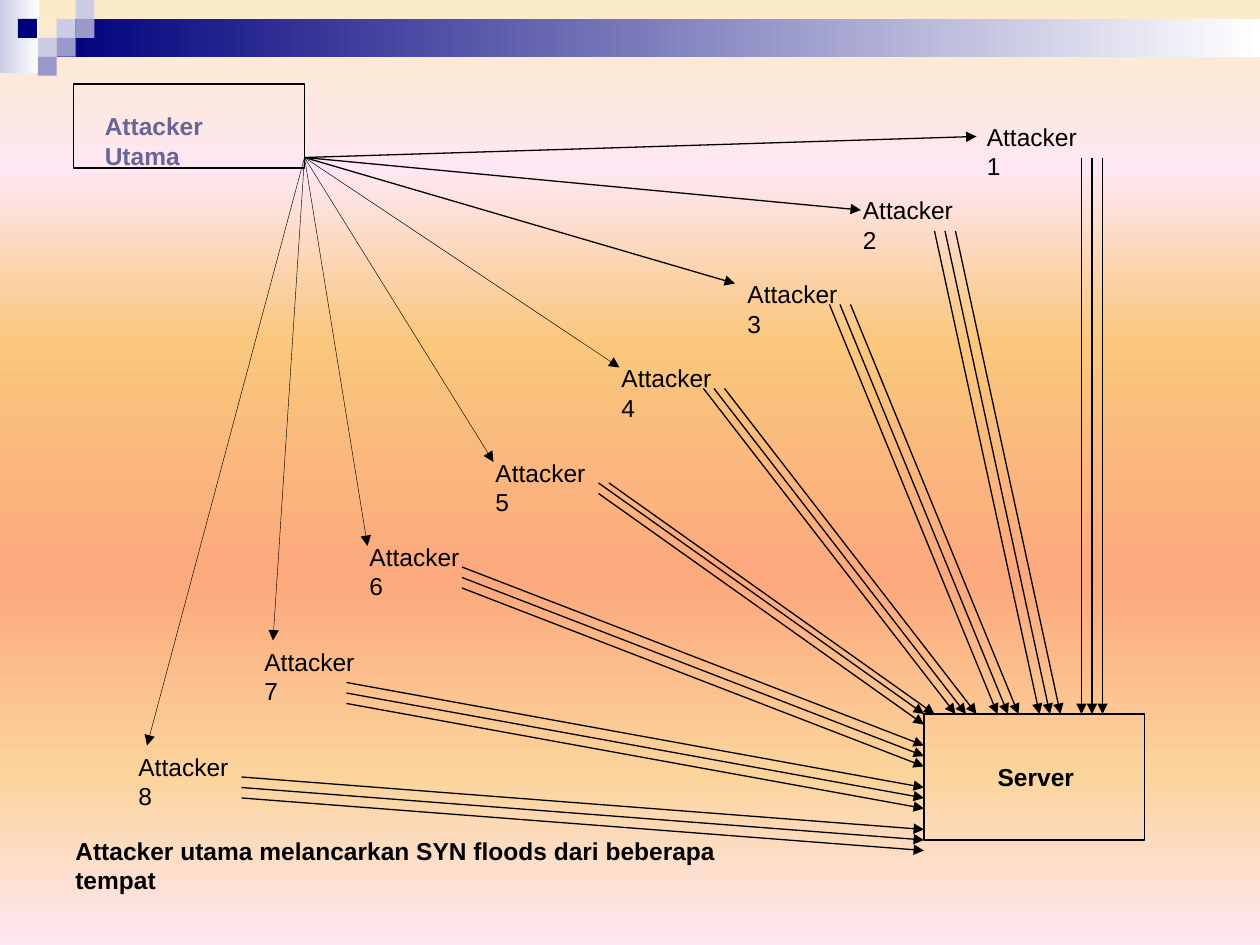
"""Build the slide that shows a SYN flood sent from many places."""
import pptx
import pptx.dml.color
import pptx.enum.dml
import pptx.enum.shapes
import pptx.enum.text
import pptx.oxml
import pptx.oxml.ns
import pptx.util
from lxml import etree

RGB = pptx.dml.color.RGBColor
BLACK = RGB(0, 0, 0)
WHITE = RGB(255, 255, 255)
NAVY = RGB(0, 0, 0x7D)
PALE = RGB(0xCC, 0xCC, 0xE6)
LILAC = RGB(0x99, 0x99, 0xCC)
SLATE = RGB(0x66, 0x66, 0x99)
CREAM = RGB(0xFB, 0xEA, 0xC7)
PINK = RGB(0xFE, 0xE7, 0xF2)
AMBER = RGB(0xFA, 0xC7, 0x7D)
CORAL = RGB(0xFB, 0xA9, 0x7D)
SAND = RGB(0xFB, 0xD4, 0x9C)

COLS, ROWS = 120, 90
TILE = 1.8
SKY = [(0, CREAM), (18, PINK), (36, AMBER), (61, CORAL), (82, SAND), (100, PINK)]
TILES = [(3, 1, PALE), (4, 0, PALE), (4, 1, LILAC), (2, 2, PALE),
         (0.95, 1, NAVY), (3, 2, LILAC), (2, 3, LILAC)]
HUB = (29, 15)
LABELS = [(92.8, 11), (81, 18), (70, 26), (58, 34),
          (46, 43), (34, 51), (24, 61), (12, 71)]
TIPS = [(93, 13), (82, 20), (70, 27), (59, 35),
        (47, 44), (35, 52), (26, 61), (14, 71)]
ACROSS = [(2, 0), (1, 0), (0, 0)]
BEND = [(1, 0), (0, 0), (0, 1)]
DOWN = [(0, 0), (0, 1), (0, 2)]
FLOODS = [((103, 15), (103, 68), ACROSS), ((89, 22), (99, 68), ACROSS),
          ((79, 29), (95, 68), ACROSS), ((67, 37), (91, 68), ACROSS),
          ((57, 46), (88, 68), BEND), ((44, 54), (88, 71), DOWN),
          ((33, 65), (88, 75), DOWN), ((23, 74), (88, 79), DOWN)]


def grid(*units):
    """Turn grid units of a twelfth of an inch into lengths."""
    return [pptx.util.Inches(unit / 12) for unit in units]


def blend(fill, root, stops, angle):
    """Give a fill a linear gradient with the listed stops."""
    fill.gradient()
    fill.gradient_angle = angle
    qn = pptx.oxml.ns.qn
    ramp = next(root.iter(qn("a:gsLst")))
    for old in list(ramp):
        ramp.remove(old)
    for share, color in stops:
        stop = etree.SubElement(ramp, qn("a:gs"), pos=str(share * 1000))
        etree.SubElement(stop, qn("a:srgbClr"), val=str(color))


def add_box(slide, area, color=None, stops=None, line=None):
    """Draw a rectangle that is plain, graded or only outlined."""
    kind = pptx.enum.shapes.MSO_SHAPE.RECTANGLE
    box = slide.shapes.add_shape(kind, *grid(*area))
    box.shadow.inherit = False
    if stops:
        blend(box.fill, box.element, stops, 0)
    elif color is not None:
        box.fill.solid()
        box.fill.fore_color.rgb = color
    else:
        box.fill.background()
    if line is None:
        box.line.fill.background()
    else:
        box.line.color.rgb = line
        box.line.width = pptx.util.Pt(0.75)


def add_text(slide, words, area, color=BLACK, bold=False, wrap=False, center=False):
    """Place one paragraph of text."""
    frame = slide.shapes.add_textbox(*grid(*area)).text_frame
    frame.word_wrap = wrap
    para = frame.paragraphs[0]
    para.text = words
    align = pptx.enum.text.PP_ALIGN
    para.alignment = align.CENTER if center else align.LEFT
    para.font.name = "Arial"
    para.font.size = pptx.util.Pt(14)
    para.font.bold = bold
    para.font.color.rgb = color


def add_arrow(slide, start, end, width=0.75):
    """Draw a straight arrow between two grid points."""
    kind = pptx.enum.shapes.MSO_CONNECTOR.STRAIGHT
    arrow = slide.shapes.add_connector(kind, *grid(*start, *end))
    arrow.line.color.rgb = BLACK
    arrow.line.width = pptx.util.Pt(width)
    qn = pptx.oxml.ns.qn
    etree.SubElement(arrow.line._get_or_add_ln(), qn("a:tailEnd"), type="triangle")
    etree.SubElement(arrow.element.spPr, qn("a:effectLst"))


def add_band(slide):
    """Draw the graded band and the tiles at the top."""
    add_box(slide, (0, 0, 3.7, 7), stops=[(0, PALE), (100, WHITE)])
    left = 3 * TILE
    add_box(slide, (left, TILE, COLS - left, 2 * TILE),
            stops=[(0, NAVY), (100, WHITE)])
    for col, row, color in TILES:
        add_box(slide, (col * TILE, row * TILE, TILE, TILE), color)


def add_floods(slide):
    """Draw three arrows from each attacker to the server."""
    for start, end, shifts in FLOODS:
        for right, down in shifts:
            add_arrow(slide, (start[0] + right, start[1] + down),
                      (end[0] + right, end[1] + down))


def main():
    """Build and save the slide."""
    deck = pptx.Presentation()
    deck.slide_width, deck.slide_height = grid(COLS, ROWS)
    slide = deck.slides.add_slide(deck.slide_layouts[6])
    blend(slide.background.fill, slide.element, SKY, 270)
    add_band(slide)
    add_text(slide, "Attacker Utama", (8.8, 10, 19.4, 4), SLATE, True, True)
    for rank, (left, top) in enumerate(LABELS, 1):
        add_text(slide, f"Attacker {rank}", (left, top, 12.8, 4))
    add_text(slide, "Server", (93.8, 72, 9.7, 4), bold=True, center=True)
    add_box(slide, (7, 8, 22, 8), line=BLACK)
    add_box(slide, (88, 68, 21, 12), line=BLACK)
    for rank, tip in enumerate(TIPS, 1):
        add_arrow(slide, HUB, tip, 0.75 if rank <= 3 else 0.25)
    add_floods(slide)
    add_text(slide, "Attacker utama melancarkan SYN floods dari beberapa tempat",
             (6, 79, 71.3, 4), bold=True, wrap=True)
    deck.save("out.pptx")


if __name__ == "__main__":
    main()
